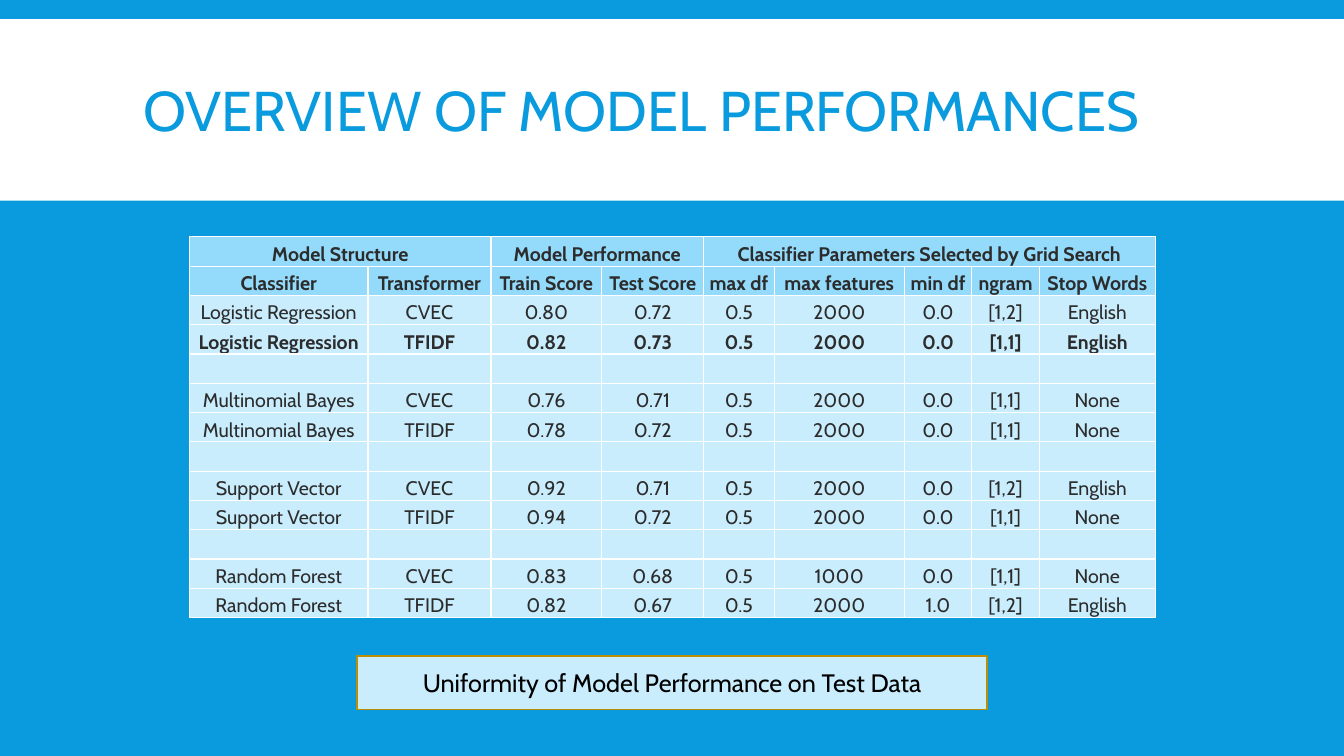
import pptx
import pptx.util
import pptx.dml.color
import pptx.enum.shapes
import pptx.enum.text
import pptx.oxml
import pptx.oxml.ns

Inches = pptx.util.Inches
Pt = pptx.util.Pt
ALIGN = pptx.enum.text.PP_ALIGN
ANCHOR = pptx.enum.text.MSO_ANCHOR
FONT = "Cabin"
COLORS = {
    "blue": "099BDD",
    "white": "FFFFFF",
    "head": "93DAFB",
    "body": "C9EDFD",
    "ink": "2C2C2C",
    "black": "000000",
    "gold": "BD8E00",
}
WIDTHS = [1.77, 1.22, 1.1, 1.01, 0.7, 1.29, 0.67, 0.67, 1.15]
GROUPS = [
    (0, 1, "Model Structure"),
    (2, 3, "Model Performance"),
    (4, 8, "Classifier Parameters Selected by Grid Search"),
]
HEADS = ["Classifier", "Transformer", "Train Score", "Test Score", "max df",
         "max features", "min df", "ngram", "Stop Words"]
BLANK = [""] * len(HEADS)
MODELS = [
    ["Logistic Regression", "CVEC", "0.80", "0.72", "0.5", "2000", "0.0", "[1,2]", "English"],
    ["Logistic Regression", "TFIDF", "0.82", "0.73", "0.5", "2000", "0.0", "[1,1]", "English"],
    BLANK,
    ["Multinomial Bayes", "CVEC", "0.76", "0.71", "0.5", "2000", "0.0", "[1,1]", "None"],
    ["Multinomial Bayes", "TFIDF", "0.78", "0.72", "0.5", "2000", "0.0", "[1,1]", "None"],
    BLANK,
    ["Support Vector", "CVEC", "0.92", "0.71", "0.5", "2000", "0.0", "[1,2]", "English"],
    ["Support Vector", "TFIDF", "0.94", "0.72", "0.5", "2000", "0.0", "[1,1]", "None"],
    BLANK,
    ["Random Forest", "CVEC", "0.83", "0.68", "0.5", "1000", "0.0", "[1,1]", "None"],
    ["Random Forest", "TFIDF", "0.82", "0.67", "0.5", "2000", "1.0", "[1,2]", "English"],
]
BOLD_ROWS = (0, 1, 3)


def tint(name):
    return pptx.dml.color.RGBColor.from_string(COLORS[name])


def paint(thing, name):
    thing.fill.solid()
    thing.fill.fore_color.rgb = tint(name)


def write(frame, text, size, color, align, bold=False):
    frame.text = text
    para = frame.paragraphs[0]
    para.alignment = align
    for run in para.runs:
        run.font.name = FONT
        run.font.size = Pt(size)
        run.font.bold = bold
        run.font.color.rgb = tint(color)
    return para


def add_box(slide, left, top, width, height, fill):
    box = slide.shapes.add_shape(
        pptx.enum.shapes.MSO_SHAPE.RECTANGLE,
        Inches(left), Inches(top), Inches(width), Inches(height))
    box.shadow.inherit = False
    paint(box, fill)
    box.line.fill.background()
    return box


def set_title(slide, text):
    title = slide.shapes.title
    title.left, title.top = Inches(1.32), Inches(0.31)
    title.width, title.height = Inches(10.7), Inches(1.65)
    frame = title.text_frame
    frame.word_wrap = True
    frame.vertical_anchor = ANCHOR.MIDDLE
    write(frame, text, 40, "blue", ALIGN.LEFT).line_spacing = 0.85
    band = add_box(slide, 0, 0.19, 13.33, 1.8, "white")
    title._element.addprevious(band._element)


def add_edges(cell):
    props = cell._tc.get_or_add_tcPr()
    for spot, side in enumerate(("lnL", "lnR", "lnT", "lnB")):
        props.insert(spot, pptx.oxml.parse_xml(
            f'<a:{side} {pptx.oxml.ns.nsdecls("a")} w="12700"><a:solidFill>'
            f'<a:srgbClr val="{COLORS["white"]}"/></a:solidFill></a:{side}>'))


def fill_cell(cell, text, fill, bold):
    cell.margin_left = cell.margin_right = 0
    cell.margin_top = cell.margin_bottom = 0
    cell.vertical_anchor = ANCHOR.BOTTOM
    paint(cell, fill)
    add_edges(cell)
    para = write(cell.text_frame, text, 14, "ink", ALIGN.CENTER, bold)
    if not text:
        para._p.append(pptx.oxml.parse_xml(
            f'<a:endParaRPr {pptx.oxml.ns.nsdecls("a")} sz="1400"/>'))


def add_scores(slide):
    top = list(BLANK)
    for first, last, label in GROUPS:
        top[first] = label
    rows = [top, HEADS] + MODELS
    table = slide.shapes.add_table(
        len(rows), len(HEADS),
        Inches(1.88), Inches(2.35), Inches(9.58), Inches(3.78)).table
    for col, width in zip(table.columns, WIDTHS):
        col.width = Inches(width)
    for r, row in enumerate(rows):
        fill = "head" if r < 2 else "body"
        for c, text in enumerate(row):
            fill_cell(table.cell(r, c), text, fill, r in BOLD_ROWS)
    for first, last, label in GROUPS:
        table.cell(0, first).merge(table.cell(0, last))


def add_note(slide, text):
    note = add_box(slide, 3.54, 6.51, 6.25, 0.53, "body")
    note.line.color.rgb = tint("gold")
    note.line.width = Pt(1)
    note.text_frame.word_wrap = True
    note.text_frame.vertical_anchor = ANCHOR.MIDDLE
    write(note.text_frame, text, 18, "black", ALIGN.CENTER)


def main():
    deck = pptx.Presentation()
    deck.slide_width, deck.slide_height = Inches(13.33), Inches(7.5)
    slide = deck.slides.add_slide(deck.slide_layouts[5])
    paint(slide.background, "blue")
    set_title(slide, "OVERVIEW OF MODEL PERFORMANCES")
    add_scores(slide)
    add_note(slide, "Uniformity of Model Performance on Test Data")
    deck.save("out.pptx")


if __name__ == "__main__":
    main()
